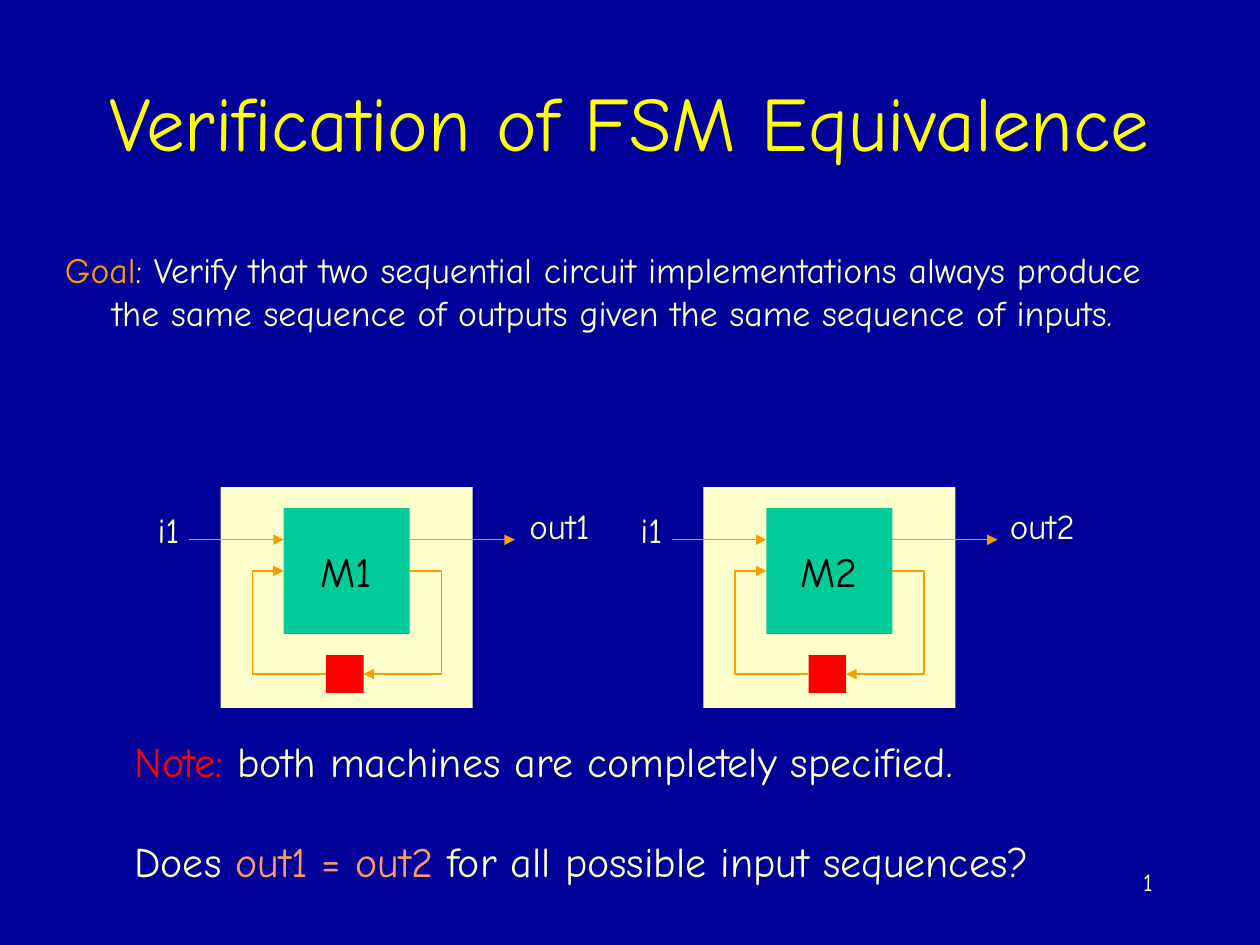
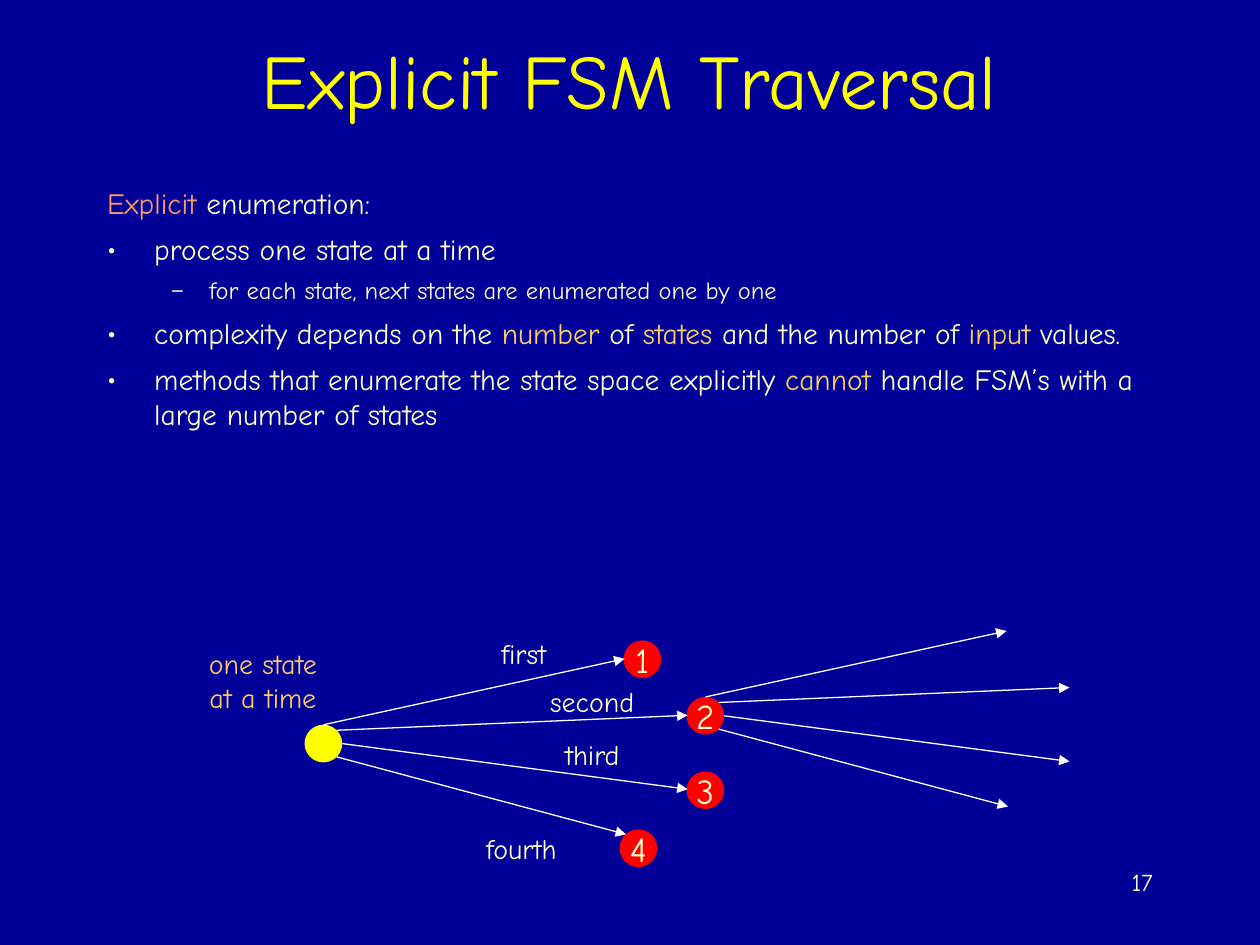
"""Builds two slides on checking the equivalence of finite state machines."""
import math

from lxml import etree
from pptx import Presentation
from pptx import util as u
from pptx.dml.color import RGBColor
from pptx.enum import shapes, text
from pptx.oxml.ns import qn

FONT = "Comic Neue"
C = {
    "back": "000099", "title": "FFFF00", "body": "FFFFCC", "goal": "FF9900",
    "wire": "FF9900", "frame": "FFFFCC", "logic": "00CC99", "latch": "FF0000",
    "note": "FF0000", "accent": "FF9966", "gold": "FFCC66", "black": "000000",
    "start": "FFFF00", "state": "FF0000", "arrow": "FFFFFF",
}
LEFT, CENTER, RIGHT = text.PP_ALIGN.LEFT, text.PP_ALIGN.CENTER, text.PP_ALIGN.RIGHT
TOP, MIDDLE = text.MSO_ANCHOR.TOP, text.MSO_ANCHOR.MIDDLE
RECT, OVAL = shapes.MSO_SHAPE.RECTANGLE, shapes.MSO_SHAPE.OVAL
STRAIGHT, ELBOW = shapes.MSO_CONNECTOR.STRAIGHT, shapes.MSO_CONNECTOR.ELBOW
DOT = 0.76
FAN_TIPS = [(6.45, -1.33), (7.72, -0.19), (7.72, 1.3), (6.48, 2.21)]
NEXT_STATES = [(6.43, -1.7), (7.7, -0.56), (7.7, 0.94), (6.35, 2.11)]


def rgb(key):
    return RGBColor.from_string(C[key])


def cm(*lengths):
    return [u.Cm(v) for v in lengths]


def write(tf, paras, size, align=LEFT, anchor=MIDDLE, wrap=False):
    """Fills a text frame with paragraphs, each a list of (words, colour) pairs."""
    tf.word_wrap = wrap
    tf.vertical_anchor = anchor
    for i, runs in enumerate(paras):
        p = tf.add_paragraph() if i else tf.paragraphs[0]
        p.alignment = align
        for words, color in runs:
            r = p.add_run()
            r.text = words
            r.font.name = FONT
            r.font.size = u.Pt(size)
            r.font.color.rgb = rgb(color)
    return tf


def add_text(s, box, paras, size, **style):
    return write(s.shapes.add_textbox(*cm(*box)).text_frame, paras, size, **style)


def add_label(s, center_x, y, width, height, paras, size):
    """Adds centred text that never breaks a line by itself."""
    box = (center_x - width / 2, y, width, height)
    tf = add_text(s, box, paras, size, align=CENTER)
    tf.auto_size = text.MSO_AUTO_SIZE.SHAPE_TO_FIT_TEXT


def add_block(s, kind, box, fill, label="", size=20, color="body"):
    sp = s.shapes.add_shape(kind, *cm(*box))
    sp.shadow.inherit = False
    sp.fill.solid()
    sp.fill.fore_color.rgb = rgb(fill)
    sp.line.fill.background()
    if label:
        write(sp.text_frame, [[(label, color)]], size, CENTER)


def add_arrow(s, start, end, color, bend_x=None):
    """Draws an arrow, with an upright middle leg at bend_x when that is given."""
    kind = STRAIGHT if bend_x is None else ELBOW
    cx = s.shapes.add_connector(kind, *cm(*start, *end))
    cx.line.color.rgb = rgb(color)
    cx.line.width = u.Pt(0.75)
    sp_pr = cx._element.spPr
    etree.SubElement(sp_pr, qn("a:effectLst"))
    etree.SubElement(sp_pr.find(qn("a:ln")), qn("a:tailEnd"), type="triangle")
    if bend_x is not None:
        share = round((bend_x - start[0]) / (end[0] - start[0]) * 100000)
        guides = sp_pr.find(qn("a:prstGeom")).find(qn("a:avLst"))
        etree.SubElement(guides, qn("a:gd"), name="adj1", fmla=f"val {share}")


def indent(p, left, hang, before, bullet=None):
    p.space_before = u.Pt(before)
    pr = p._p.get_or_add_pPr()
    pr.set("marL", str(u.Cm(left)))
    pr.set("indent", str(-u.Cm(hang)))
    if bullet:
        clr = etree.SubElement(pr, qn("a:buClr"))
        etree.SubElement(clr, qn("a:srgbClr"), val=C["body"])
        etree.SubElement(pr, qn("a:buFont"), typeface=FONT)
        etree.SubElement(pr, qn("a:buChar"), char=bullet)


def new_slide(prs, title, title_top, number):
    s = prs.slides.add_slide(prs.slide_layouts[6])
    add_text(s, (1.9, title_top, 21.59, 3.18), [[(title, "title")]], 44,
             align=CENTER, wrap=True)
    add_text(s, (18.2, 17.36, 5.29, 1.27), [[(number, "body")]], 14,
             align=RIGHT, anchor=TOP, wrap=True)
    return s


def machine(s, x, y, name, output):
    """Draws one sequential machine, its frame having its corner at x, y."""
    def at(dx, dy, *size):
        return (x + dx, y + dy, *size)

    logic_mid, latch_mid, wire = 1.69, 3.77, 1.06
    add_block(s, RECT, at(0, 0, 5.08, 4.45), "frame")
    add_block(s, RECT, at(1.27, 0.42, 2.54, 2.54), "logic", name, 24, "black")
    add_block(s, RECT, at(2.12, 3.39, DOT, DOT), "latch")
    add_arrow(s, at(-0.64, wire), at(1.27, wire), "wire")
    add_arrow(s, at(3.81, wire), at(5.93, wire), "wire")
    add_arrow(s, at(2.12, latch_mid), at(1.27, logic_mid), "wire", x + 0.64)
    add_arrow(s, at(3.81, logic_mid), at(2.12 + DOT, latch_mid), "wire", x + 4.45)
    add_label(s, *at(-1.05, 0.3, 1.2, 1.12), [[("i1", "body")]], 20)
    add_label(s, *at(6.83, 0.22, 2.4, 1.12), [[(output, "body")]], 20)


def fan(s, x, y):
    """Draws four arrows leaving the state whose box has its corner at x, y."""
    radius = DOT / 2
    for angle, (dx, dy) in zip(range(-90, 46, 45), FAN_TIPS):
        a = math.radians(angle)
        start = (x + radius * (1 + math.cos(a)), y + radius * (1 + math.sin(a)))
        add_arrow(s, start, (x + dx, y + dy), "arrow")


def traversal(s, x, y):
    """Draws the state graph, its first state having its corner at x, y."""
    add_block(s, OVAL, (x, y, DOT, DOT), "start")
    for i, (dx, dy) in enumerate(NEXT_STATES, 1):
        add_block(s, OVAL, (x + dx, y + dy, DOT, DOT), "state", str(i))
    fan(s, x, y)
    fan(s, x + NEXT_STATES[1][0], y + NEXT_STATES[1][1])
    add_label(s, x - 0.84, y - 1.71, 3.2, 1.63,
              [[("one state", "gold")], [("at a time", "gold")]], 16)
    labels = [("first", 4.42, -1.9), ("second", 5.8, -0.94),
              ("third", 5.8, 0.12), ("fourth", 4.37, 2.03)]
    for words, dx, dy in labels:
        add_label(s, x + dx, y + dy, 2.8, 0.94, [[(words, "body")]], 16)


def equivalence_slide(prs):
    s = new_slide(prs, "Verification of FSM Equivalence", 0.85, "1")
    goal = [("Goal", "goal"),
            (": Verify that two sequential circuit implementations always produce "
             "the same sequence of outputs given the same sequence of inputs.", "body")]
    tf = add_text(s, (1.06, 4.87, 23.28, 2.12), [goal], 20.4, anchor=TOP, wrap=True)
    indent(tf.paragraphs[0], 0.95, 0.95, 6)
    for i in (1, 2):
        machine(s, 4.45 + 9.73 * (i - 1), 9.82, f"M{i}", f"out{i}")
    notes = [
        [("Note:", "note"), (" both machines are completely specified.", "body")],
        [("Does ", "body"), ("out1 = out2", "accent"),
         (" for all possible input sequences?", "body")],
    ]
    tf = add_text(s, (2.46, 14.69, 20, 3.3), notes, 24, wrap=True)
    tf.paragraphs[1].space_before = u.Pt(28.6)


def traversal_slide(prs):
    s = new_slide(prs, "Explicit FSM Traversal", 0, "17")
    points = [
        [("Explicit", "accent"), (" enumeration:", "body")],
        [("process one state at a time", "body")],
        [("for each state, next states are enumerated one by one", "body")],
        [("complexity depends on the ", "body"), ("number", "gold"), (" of ", "body"),
         ("states", "gold"), (" and the number of ", "body"), ("input", "gold"),
         (" values.", "body")],
        [("methods that enumerate the state space explicitly ", "body"),
         ("cannot", "gold"),
         (" handle FSM’s with a large number of states", "body")],
    ]
    tf = add_text(s, (1.91, 3.61, 21.59, 6.35), points, 16.8, anchor=TOP, wrap=True)
    for i, p in enumerate(tf.paragraphs):
        if i == 2:
            p.level = 1
            p.runs[0].font.size = u.Pt(14)
            indent(p, 2.06, 0.79, 5, "–")
        else:
            indent(p, 0.95, 0.95, 6, "•" if i else None)
    traversal(s, 6.14, 14.61)


def main():
    prs = Presentation()
    prs.slide_width, prs.slide_height = cm(25.4, 19.05)
    fill = prs.slide_master.background.fill
    fill.solid()
    fill.fore_color.rgb = rgb("back")
    equivalence_slide(prs)
    traversal_slide(prs)
    prs.save("out.pptx")


if __name__ == "__main__":
    main()
